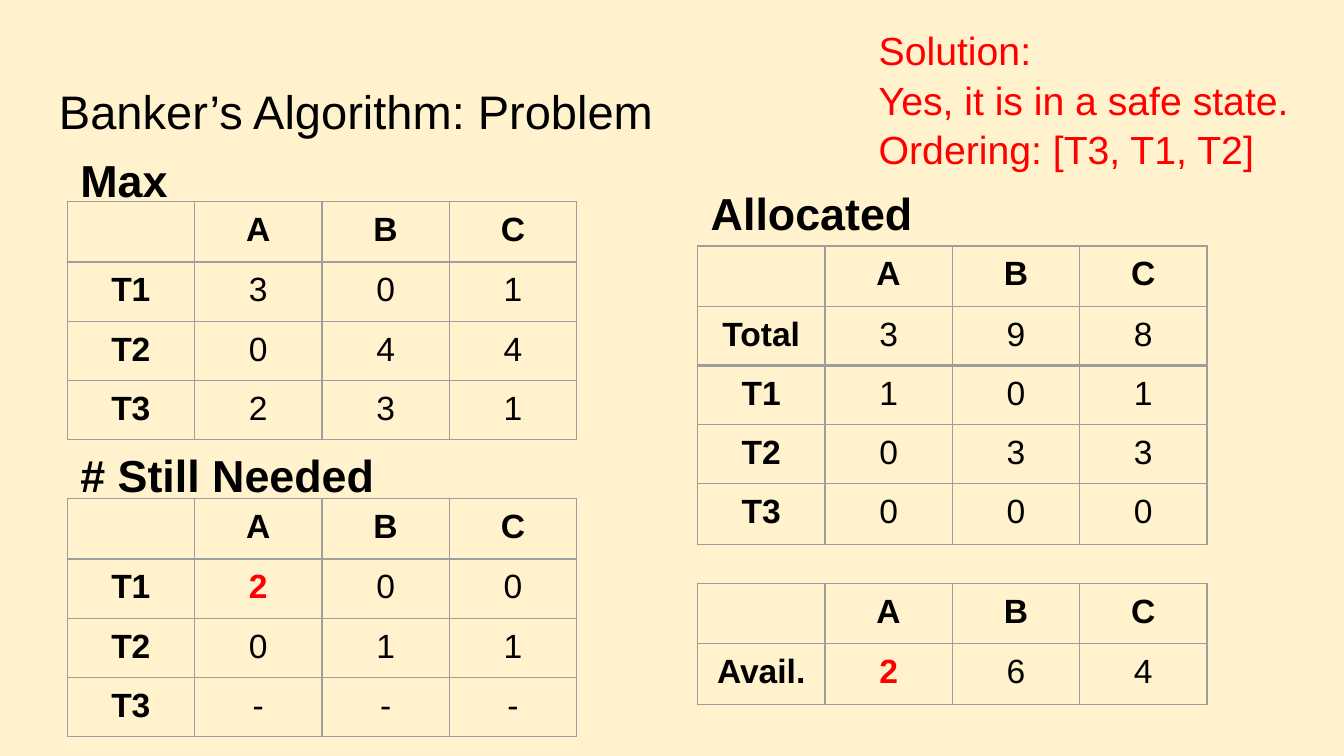
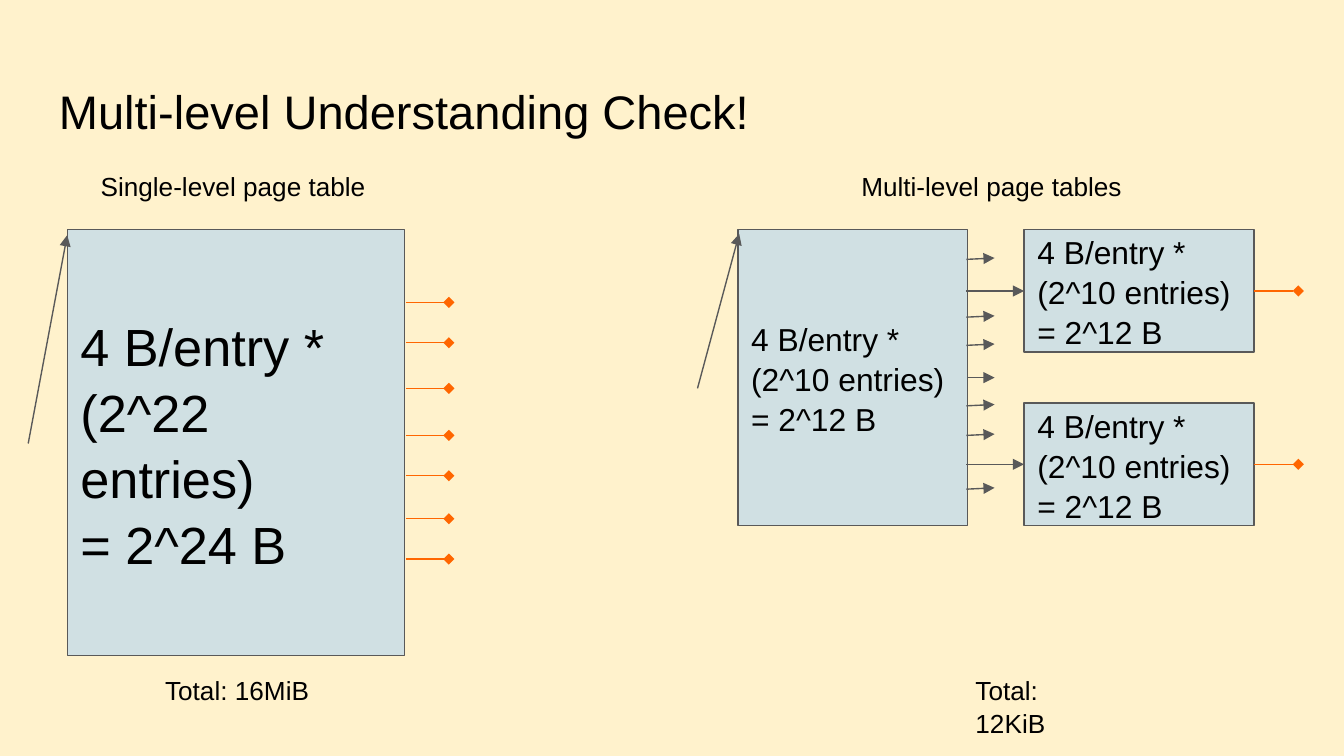
import lxml.etree
import pptx
import pptx.dml.color
import pptx.enum.shapes
import pptx.enum.text
import pptx.oxml.ns
import pptx.util

# Shared look
CREAM = pptx.dml.color.RGBColor(0xFF, 0xF2, 0xCC)
BLACK = pptx.dml.color.RGBColor(0, 0, 0)
RED = pptx.dml.color.RGBColor(0xFF, 0, 0)
PALE_BLUE = pptx.dml.color.RGBColor(0xD0, 0xE0, 0xE3)
DARK_GRAY = pptx.dml.color.RGBColor(0x59, 0x59, 0x59)
ORANGE = pptx.dml.color.RGBColor(0xFF, 0x66, 0)
BORDER_GRAY = pptx.dml.color.RGBColor(0x9E, 0x9E, 0x9E)
FONT = "Arial"
LINE_SPACING = 1.05
THIN, THICK = 0.75, 1.5

# Grid: 100 columns by 56.25 rows of square cells
COLUMNS, ROWS = 100, 56.25
LEFT, RIGHT = 5, 51.9
TABLE_COLUMN = 9.48


def grid(cells):
    return pptx.util.Inches(cells / 10)


def add_page(deck, title):
    page = deck.slides.add_slide(deck.slide_layouts[6])
    page.background.fill.solid()
    page.background.fill.fore_color.rgb = CREAM
    add_text(page, (3.4, 4.9, 93.2, 6.3), [title], 25.2)
    return page


def style_span(span, size, color=BLACK, bold=False):
    span.font.name = FONT
    span.font.size = pptx.util.Pt(size)
    span.font.color.rgb = color
    span.font.bold = bold


def write_lines(frame, lines, size, color=BLACK, bold=False):
    frame.word_wrap = True
    frame.margin_left = frame.margin_right = grid(1)
    frame.margin_top = frame.margin_bottom = grid(1)
    frame.text = "\n".join(lines)
    for para in frame.paragraphs:
        para.alignment = pptx.enum.text.PP_ALIGN.LEFT
        para.line_spacing = LINE_SPACING
        for span in para.runs:
            style_span(span, size, color, bold)


def add_text(page, place, lines, size, color=BLACK, bold=False):
    box = page.shapes.add_textbox(*map(grid, place))
    write_lines(box.text_frame, lines, size, color, bold)


def add_page_table(page, place, lines, size):
    box = page.shapes.add_shape(pptx.enum.shapes.MSO_SHAPE.RECTANGLE, *map(grid, place))
    box.shadow.inherit = False
    box.fill.solid()
    box.fill.fore_color.rgb = PALE_BLUE
    box.line.color.rgb = DARK_GRAY
    box.line.width = pptx.util.Pt(THIN)
    box.text_frame.vertical_anchor = pptx.enum.text.MSO_ANCHOR.MIDDLE
    write_lines(box.text_frame, lines, size)
    return box


def add_arrow(page, start, end, color=DARK_GRAY, head="triangle", source=None, target=None):
    arrow = page.shapes.add_connector(
        pptx.enum.shapes.MSO_CONNECTOR.STRAIGHT, *map(grid, start + end))
    if source is not None:
        arrow.begin_connect(source, 3)
    if target is not None:
        arrow.end_connect(target, 1)
    arrow.line.color.rgb = color
    arrow.line.width = pptx.util.Pt(THIN)
    qn = pptx.oxml.ns.qn
    properties = arrow._element.spPr
    lxml.etree.SubElement(properties.find(qn("a:ln")), qn("a:tailEnd"), type=head)
    lxml.etree.SubElement(properties, qn("a:effectLst"))


def set_borders(cell, top, bottom):
    qn = pptx.oxml.ns.qn
    properties = cell._tc.get_or_add_tcPr()
    widths = {"a:lnL": THIN, "a:lnR": THIN, "a:lnT": top, "a:lnB": bottom}
    for position, (side, width) in enumerate(widths.items()):
        line = lxml.etree.Element(qn(side), w=str(pptx.util.Pt(width)))
        fill = lxml.etree.SubElement(line, qn("a:solidFill"))
        lxml.etree.SubElement(fill, qn("a:srgbClr"), val=str(BORDER_GRAY))
        properties.insert(position, line)


def add_resource_table(page, left, top, heights, records, red=None, thick_below=None):
    """Table of resources A to C; red is a (row, column) pair to stress."""
    rows = [["", "A", "B", "C"]] + records
    table = page.shapes.add_table(
        len(rows), 4, grid(left), grid(top),
        grid(4 * TABLE_COLUMN), grid(sum(heights))).table
    table.first_row = table.horz_banding = False
    for column in table.columns:
        column.width = grid(TABLE_COLUMN)
    for r, values in enumerate(rows):
        table.rows[r].height = grid(heights[r])
        for c, value in enumerate(values):
            cell = table.cell(r, c)
            cell.fill.background()
            cell.margin_left = cell.margin_right = grid(1)
            cell.margin_top = cell.margin_bottom = grid(0.7)
            set_borders(cell,
                        THICK if r - 1 == thick_below else THIN,
                        THICK if r == thick_below else THIN)
            if not value:
                continue
            cell.text_frame.text = value
            para = cell.text_frame.paragraphs[0]
            para.alignment = pptx.enum.text.PP_ALIGN.CENTER
            stressed = (r, c) == red
            style_span(para.runs[0], 18, RED if stressed else BLACK,
                       r == 0 or c == 0 or stressed)


def build_banker(deck):
    page = add_page(deck, "Banker’s Algorithm: Problem")
    for left, top, heading in [(LEFT, 10.2, "Max"), (RIGHT, 12.6, "Allocated"),
                               (LEFT, 32.1, "# Still Needed")]:
        add_text(page, (left, top, 41.7, 4.2), [heading], 24, bold=True)

    # Resource tables
    thread_rows = [4.5, 4.37, 4.37, 4.37]
    add_resource_table(page, LEFT, 15, thread_rows,
                       [["T1", "3", "0", "1"], ["T2", "0", "4", "4"], ["T3", "2", "3", "1"]])
    add_resource_table(page, RIGHT, 18.3, [4.5, 4.3, 4.3, 4.3, 4.5],
                       [["Total", "3", "9", "8"], ["T1", "1", "0", "1"],
                        ["T2", "0", "3", "3"], ["T3", "0", "0", "0"]], thick_below=1)
    add_resource_table(page, RIGHT, 43.4, [4.5, 4.5], [["Avail.", "2", "6", "4"]], red=(1, 1))
    add_resource_table(page, LEFT, 37.1, thread_rows,
                       [["T1", "2", "0", "0"], ["T2", "0", "1", "1"], ["T3", "-", "-", "-"]],
                       red=(1, 1))

    add_text(page, (64.4, 0.8, 35.6, 14.5),
             ["Solution:", "Yes, it is in a safe state.", "Ordering: [T3, T1, T2]"], 21, RED)


def build_page_tables(deck):
    page = add_page(deck, "Multi-level Understanding Check!")
    for place, label in [((6.5, 11.6, 22.2, 5.2), "Single-level page table"),
                         ((63.1, 11.6, 22.2, 5.2), "Multi-level page tables"),
                         ((11.3, 49.1, 17.1, 5.2), "Total: 16MiB"),
                         ((71.6, 49.1, 11.7, 5.2), "Total: 12KiB")]:
        add_text(page, place, [label], 14)

    # Single level: one large table whose entries lead to pages
    add_page_table(page, (LEFT, 17.1, 25.1, 31.7),
                   ["4 B/entry * (2^22 entries)", "= 2^24 B"], 28)
    add_arrow(page, (2.1, 33), (LEFT, 17.5))
    for y in (22.5, 25.5, 28.9, 32.4, 35.4, 38.6, 41.6):
        add_arrow(page, (30.2, y), (33.4, y), ORANGE, "diamond")

    # Multi level: a root table, two of whose entries lead to tables
    small_size = ["4 B/entry * (2^10 entries)", "= 2^12 B"]
    root = add_page_table(page, (54.9, 17.1, 17.1, 22), small_size, 17)
    add_arrow(page, (51.9, 28.9), (55, 17.4))
    for top in (17.1, 30):
        leaf = add_page_table(page, (76.2, top, 17.1, 9.1), small_size, 17)
        middle = top + 4.55
        add_arrow(page, (71.9, middle), (76.2, middle), target=leaf)
        add_arrow(page, (93.3, middle), (96.6, middle), ORANGE, "diamond", source=leaf)
    for y in (19.2, 23.5, 25.6, 30.1, 32.3, 36.3):
        add_arrow(page, (71.9, y + 0.1), (74, y))
    add_arrow(page, (72, 28.1), (74, 28.1), source=root)


def main():
    deck = pptx.Presentation()
    deck.slide_width, deck.slide_height = grid(COLUMNS), grid(ROWS)
    build_banker(deck)
    build_page_tables(deck)
    deck.save("out.pptx")


if __name__ == "__main__":
    main()
